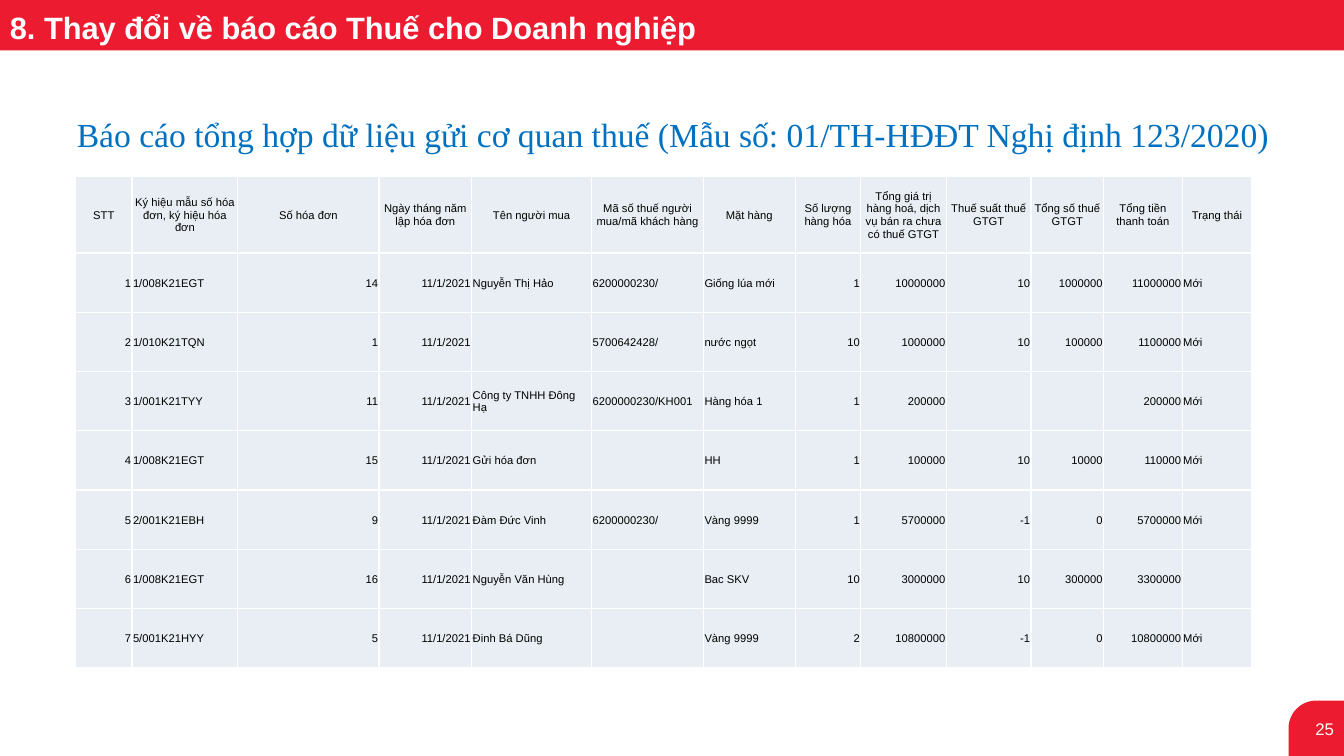
import pptx
import pptx.dml.color
import pptx.enum.shapes
import pptx.enum.text
import pptx.oxml
import pptx.oxml.ns
import pptx.util

ALIGN = pptx.enum.text.PP_ALIGN
ANCHOR = pptx.enum.text.MSO_ANCHOR
SHAPE = pptx.enum.shapes.MSO_SHAPE

RED, BLUE, WHITE, BLACK, PALE = "ED1B2F", "0070C0", "FFFFFF", "000000", "E8EEF3"
COLUMNS, ROWS = 133.33, 75

HEADERS = [
    "STT", "Ký hiệu mẫu số hóa đơn, ký hiệu hóa đơn", "Số hóa đơn",
    "Ngày tháng năm lập hóa đơn", "Tên người mua",
    "Mã số thuế người mua/mã khách hàng", "Mặt hàng", "Số lượng hàng hóa",
    "Tổng giá trị hàng hoá, dịch vụ bán ra chưa có thuế GTGT",
    "Thuế suất thuế GTGT", "Tổng số thuế GTGT", "Tổng tiền thanh toán",
    "Trạng thái",
]
DATE = "11/1/2021"
INVOICES = [
    ["1/008K21EGT", 14, DATE, "Nguyễn Thị Hảo", "6200000230/", "Giống lúa mới",
     1, 10000000, 10, 1000000, 11000000, "Mới"],
    ["1/010K21TQN", 1, DATE, "", "5700642428/", "nước ngọt",
     10, 1000000, 10, 100000, 1100000, "Mới"],
    ["1/001K21TYY", 11, DATE, "Công ty TNHH Đông Hạ", "6200000230/KH001", "Hàng hóa 1",
     1, 200000, "", "", 200000, "Mới"],
    ["1/008K21EGT", 15, DATE, "Gửi hóa đơn", "", "HH",
     1, 100000, 10, 10000, 110000, "Mới"],
    ["2/001K21EBH", 9, DATE, "Đàm Đức Vinh", "6200000230/", "Vàng 9999",
     1, 5700000, -1, 0, 5700000, "Mới"],
    ["1/008K21EGT", 16, DATE, "Nguyễn Văn Hùng", "", "Bac SKV",
     10, 3000000, 10, 300000, 3300000, ""],
    ["5/001K21HYY", 5, DATE, "Đinh Bá Dũng", "", "Vàng 9999",
     2, 10800000, -1, 0, 10800000, "Mới"],
]
WIDTHS = [5.6, 10.5, 14, 9.2, 11.9, 11.1, 9.1, 6.5, 8.5, 8.4, 7.2, 7.8, 6.9]
HEIGHTS = [7.6] + [5.88] * len(INVOICES)
LEFT_COLUMNS = {1, 4, 5, 6, 12}


def rgb(value):
    return pptx.dml.color.RGBColor.from_string(value)


def grid(units):
    """Length of a number of grid units, ten to the inch."""
    return pptx.util.Inches(units / 10)


class ReportSlide:
    def __init__(self, prs, font="Arial"):
        self.s = prs.slides.add_slide(prs.slide_layouts[6])
        self.font = font

    def paragraph(self, p, text, size, color, align=ALIGN.LEFT, bold=False, font=None):
        p.text = text
        p.alignment = align
        p.font.name = font or self.font
        p.font.size = pptx.util.Pt(size)
        p.font.bold = bold
        p.font.color.rgb = rgb(color)

    def block(self, kind, *box):
        sp = self.s.shapes.add_shape(kind, *map(grid, box))
        sp.shadow.inherit = False
        sp.fill.solid()
        sp.fill.fore_color.rgb = rgb(RED)
        sp.line.fill.background()
        return sp

    def page_badge(self, number, size=5.5):
        sp = self.block(SHAPE.ROUND_1_RECTANGLE, COLUMNS - size, ROWS - size, size, size)
        sp.adjustments[0] = 0.5
        sp.element.spPr.xfrm.set("flipH", "1")
        sp.text_frame.vertical_anchor = ANCHOR.MIDDLE
        self.paragraph(sp.text_frame.paragraphs[0], number, 12, WHITE, ALIGN.RIGHT)

    def text(self, box, text, size, color, wrap=True, **style):
        tf = self.s.shapes.add_textbox(*map(grid, box)).text_frame
        tf.word_wrap = wrap
        tf.auto_size = pptx.enum.text.MSO_AUTO_SIZE.SHAPE_TO_FIT_TEXT
        self.paragraph(tf.paragraphs[0], text, size, color, **style)

    def cell(self, cell, text, align):
        cell.margin_left = cell.margin_right = cell.margin_top = grid(0.1)
        cell.margin_bottom = 0
        cell.vertical_anchor = ANCHOR.MIDDLE
        self.paragraph(cell.text_frame.paragraphs[0], text, 8, BLACK, align)
        tc_pr = cell._tc.get_or_add_tcPr()
        for side in "LRTB":
            tc_pr.append(pptx.oxml.parse_xml(
                f'<a:ln{side} {pptx.oxml.ns.nsdecls("a")} w="12700"><a:solidFill>'
                f'<a:srgbClr val="{WHITE}"/></a:solidFill></a:ln{side}>'))
        cell.fill.solid()
        cell.fill.fore_color.rgb = rgb(PALE)

    def table(self, left, top, rows):
        box = left, top, sum(WIDTHS), sum(HEIGHTS)
        table = self.s.shapes.add_table(len(rows), len(WIDTHS), *map(grid, box)).table
        table.first_row = table.horz_banding = False
        for column, width in zip(table.columns, WIDTHS):
            column.width = grid(width)
        for i, values in enumerate(rows):
            table.rows[i].height = grid(HEIGHTS[i])
            for j, value in enumerate(values):
                align = ALIGN.LEFT if j in LEFT_COLUMNS else ALIGN.RIGHT
                self.cell(table.cell(i, j), str(value), align if i else ALIGN.CENTER)


def main():
    prs = pptx.Presentation()
    prs.slide_width, prs.slide_height = grid(COLUMNS), grid(ROWS)
    slide = ReportSlide(prs)
    slide.page_badge("25")
    slide.block(SHAPE.RECTANGLE, 0, 0, COLUMNS, 5)
    slide.text((0, 0.4, 71.1, 4.7), "8. Thay đổi về báo cáo Thuế cho Doanh nghiệp",
               22, WHITE, wrap=False, bold=True)
    slide.text((4.9, 10.8, 123.7, 5),
               "Báo cáo tổng hợp dữ liệu gửi cơ quan thuế (Mẫu số: 01/TH-HĐĐT Nghị định 123/2020)",
               24, BLUE, align=ALIGN.CENTER, font="Times New Roman")
    numbered = [[i, *invoice] for i, invoice in enumerate(INVOICES, 1)]
    slide.table(7.5, 17.5, [HEADERS, *numbered])
    prs.save("out.pptx")


if __name__ == "__main__":
    main()
